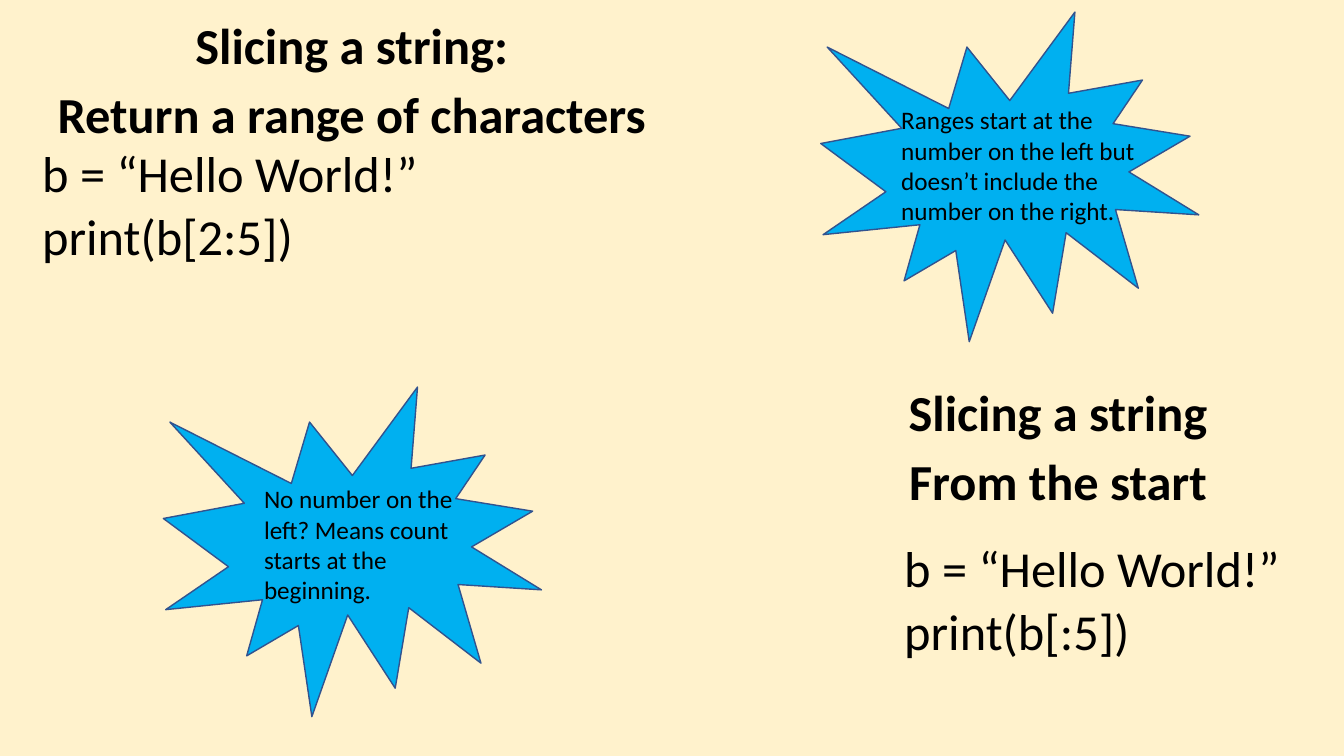
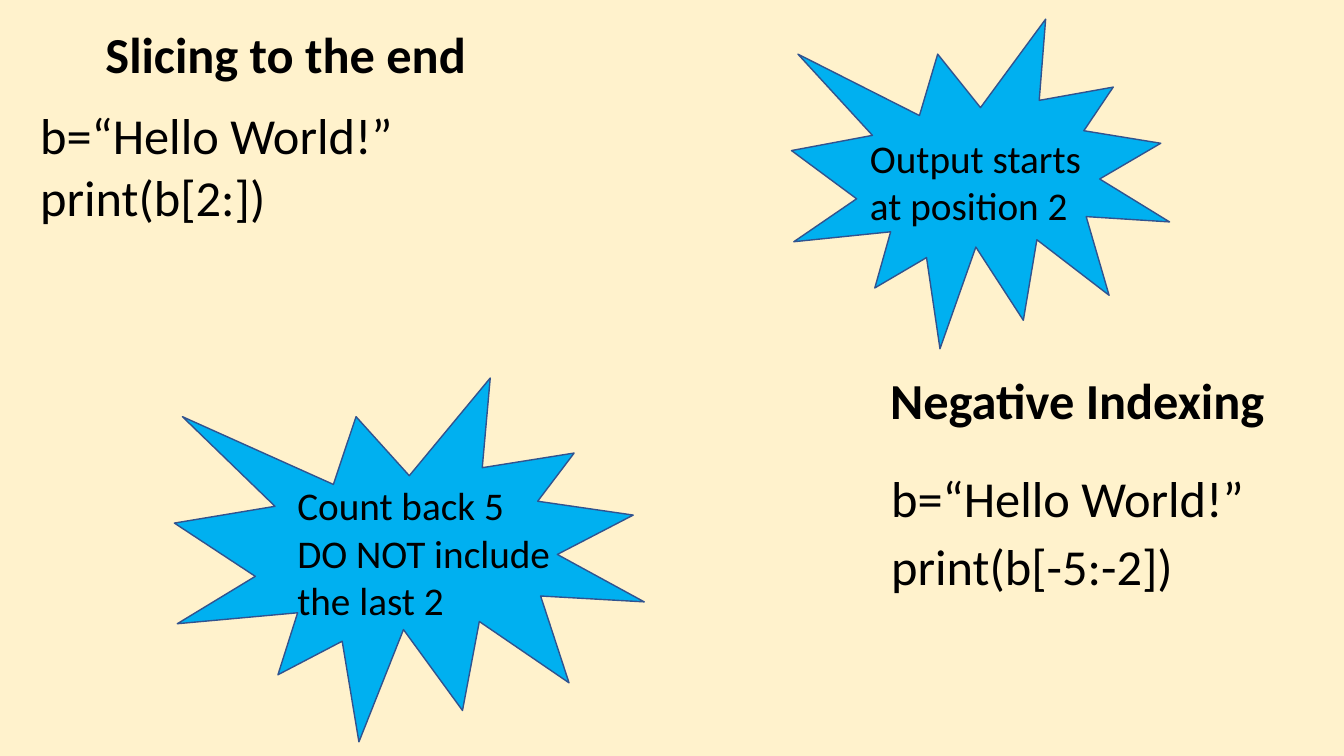
from pptx import Presentation
from pptx.dml.color import RGBColor
from pptx.enum.shapes import MSO_SHAPE as Shape
from pptx.enum.text import MSO_ANCHOR as Anchor, PP_ALIGN as Align
from pptx.util import Inches, Pt

CREAM = RGBColor(0xFF, 0xF2, 0xCC)
SKY = RGBColor(0x00, 0xB0, 0xF0)
NAVY = RGBColor(0x31, 0x53, 0x8F)
BLACK = RGBColor(0x00, 0x00, 0x00)
FONT = "Calibri"
HEADING_SIZE = CODE_SIZE = 36
BURST_SIZE = (3.75, 3.27)


def add_text(slide, box, lines, size, bold=False, align=Align.LEFT,
             anchor=Anchor.TOP, line_spacing=1.0, gap=0):
    """Write one paragraph per line, with gap points between them."""
    frame = slide.shapes.add_textbox(*map(Inches, box)).text_frame
    frame.word_wrap = True
    frame.vertical_anchor = anchor
    frame.text = "\n".join(lines)
    for index, paragraph in enumerate(frame.paragraphs):
        paragraph.alignment = align
        paragraph.line_spacing = line_spacing
        paragraph.space_before = Pt(gap if index else 0)
        font = paragraph.runs[0].font
        font.name, font.size, font.bold = FONT, Pt(size), bold
        font.color.rgb = BLACK


def add_heading(slide, box, *lines):
    add_text(slide, box, lines, HEADING_SIZE, bold=True, align=Align.CENTER,
             anchor=Anchor.BOTTOM, line_spacing=0.9, gap=10)


def add_code(slide, box, *lines, line_spacing=0.8):
    add_text(slide, box, lines, CODE_SIZE, line_spacing=line_spacing, gap=10)


def add_burst(slide, box, note_box, size, *lines):
    """Draw a starburst with a note; note_box is relative to the burst."""
    burst = slide.shapes.add_shape(Shape.EXPLOSION1, *map(Inches, box))
    burst.shadow.inherit = False
    burst.fill.solid()
    burst.fill.fore_color.rgb = SKY
    burst.line.color.rgb = NAVY
    burst.line.width = Pt(1)
    left, top, width, height = note_box
    add_text(slide, (box[0] + left, box[1] + top, width, height), lines, size)


def build_range_and_start(slide):
    add_heading(slide, (0.32, 0.28, 6.34, 1.2),
                "Slicing a string:", "Return a range of characters")
    add_code(slide, (0.32, 1.48, 5.64, 1.29),
             "b = “Hello World!”", "print(b[2:5])")
    add_heading(slide, (7.66, 4.03, 5.67, 1.09),
                "Slicing a string", "From the start")
    add_code(slide, (8.87, 5.4, 4.4, 1.29),
             "b = “Hello World!”", "print(b[:5])")
    add_burst(slide, (8.14, 0.12, *BURST_SIZE), (0.7, 0.87, 2.69, 1.31), 18,
              "Ranges start at the number on the left but "
              "doesn’t include the number on the right.")
    add_burst(slide, (1.62, 3.84, *BURST_SIZE), (0.9, 0.91, 2.69, 1.31), 18,
              "No number on the", "left? Means count",
              "starts at the", "beginning.")


def build_end_and_negative(slide):
    add_heading(slide, (0, 0, 5.67, 0.89), "Slicing to the end")
    add_code(slide, (0.3, 1.1, 5.8, 1.29),
             "b=“Hello World!”", "print(b[2:])")
    add_heading(slide, (8.1, 3.42, 5.17, 0.9), "Negative Indexing")
    add_code(slide, (8.74, 4.65, 3.88, 1.99),
             "b=“Hello World!”", "print(b[-5:-2])", line_spacing=0.9)
    add_burst(slide, (7.85, 0.19, *BURST_SIZE), (0.68, 1.09, 2.69, 1.04), 28,
              "Output starts", "at position 2")
    add_burst(slide, (1.73, 3.75, 4.66, 3.61), (1.12, 0.98, 2.79, 1.51), 28,
              "Count back 5", "DO NOT include", "the last 2")


def main():
    prs = Presentation()
    prs.slide_width, prs.slide_height = Inches(13.33), Inches(7.5)
    backdrop = prs.slide_master.background.fill
    backdrop.solid()
    backdrop.fore_color.rgb = CREAM
    blank = prs.slide_layouts[6]
    for build in (build_range_and_start, build_end_and_negative):
        build(prs.slides.add_slide(blank))
    prs.save("out.pptx")


if __name__ == "__main__":
    main()
